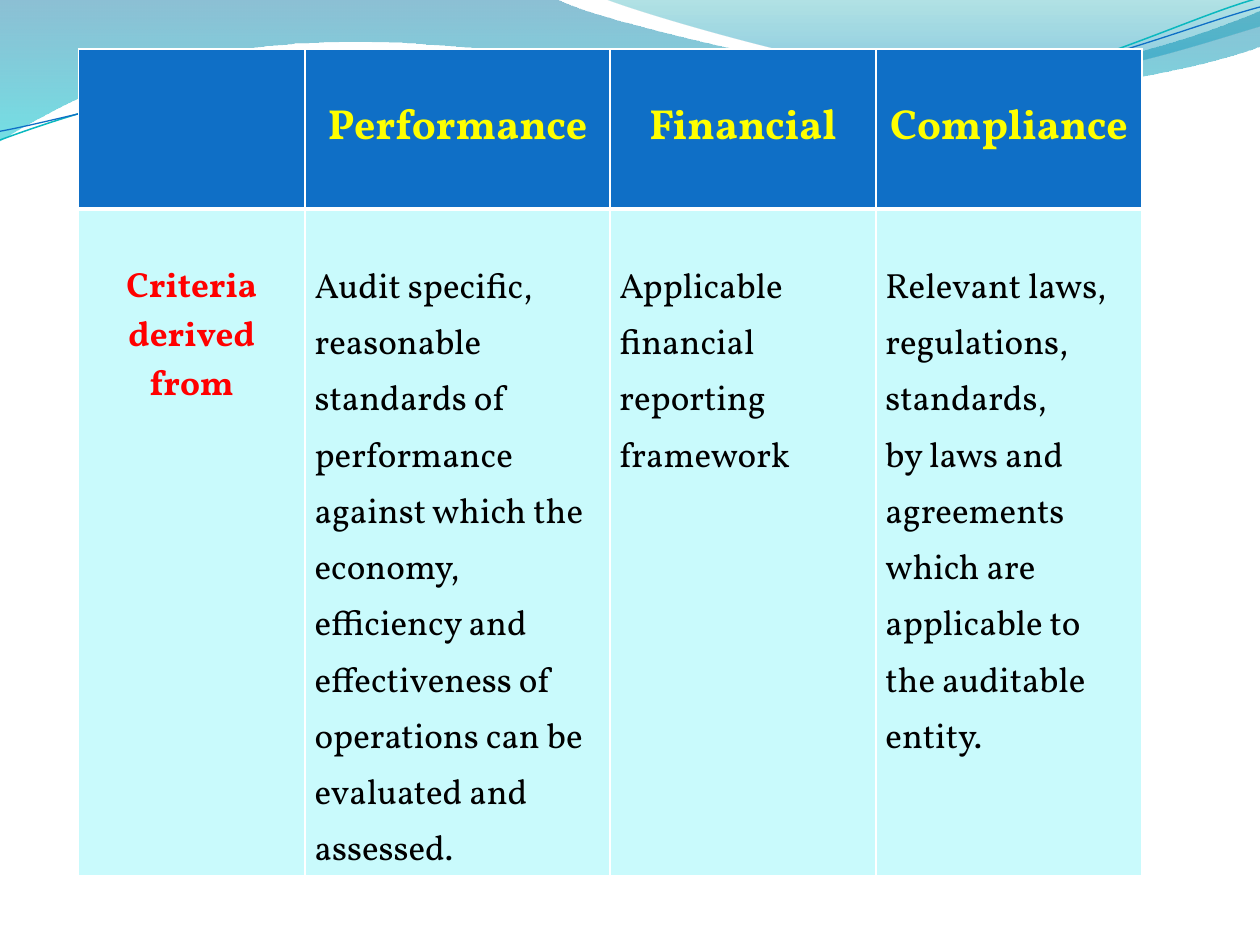
from lxml.etree import SubElement
from pptx import Presentation
from pptx.dml.color import RGBColor
from pptx.enum.text import MSO_ANCHOR as Anchor, PP_ALIGN as Align
from pptx.oxml.ns import qn
from pptx.util import Pt

FONT = "Vollkorn"
HEADINGS = ["", "Performance", "Financial", "Compliance"]
CRITERIA = [
    ["Criteria derived", "from"],
    ["Audit specific, reasonable", "standards of performance", "against which the",
     "economy, efficiency and effectiveness of operations can be evaluated and",
     "assessed."],
    ["Applicable financial", "reporting framework"],
    ["Relevant laws,", "regulations, standards,",
     "by laws and agreements which are applicable to the auditable entity."],
]

# Outlines in points: a start, then steps of one point (line) or three (curve).
BROAD_WAVE = [
    [(0, 0)], [(317, -1)],
    [(343, 12), (478, 45), (546, 45)], [(614, 45), (690, 19), (720, 6)],
    [(721, 26)],
    [(708, 32), (626, 55), (537, 54)], [(448, 54), (275, 20), (185, 24)],
    [(93, 26), (33, 60), (-1, 81)],
]
RIGHT_WAVE = [
    [(345, -1)],
    [(367, 8), (491, 45), (554, 47)], [(616, 50), (692, 23), (720, 15)],
    [(720, 0)],
]
TEAL_CURVE = [
    [(0, 80)], [(35, 67), (114, 41), (199, 37)],
    [(284, 34), (427, 64), (513, 58)], [(600, 51), (675, 11), (719, -1)],
]
BLUE_CURVE = [
    [(0, 75)], [(34, 69), (118, 44), (204, 40)],
    [(290, 37), (430, 60), (516, 54)], [(602, 48), (678, 15), (720, 4)],
]


def color(hex_text):
    return RGBColor.from_string(hex_text)


def apply(target, values):
    for name, value in values.items():
        setattr(target, name, value)


def add_outline(page, box, steps, close):
    """Draw the outline relative to the box, turning three-point steps into curves."""
    left, top = box
    points = [(Pt(left + x), Pt(top + y)) for step in steps for x, y in step]
    builder = page.shapes.build_freeform(*points[0], scale=1.0)
    builder.add_line_segments(points[1:], close=close)
    shape = builder.convert_to_shape()
    shape.shadow.inherit = False
    lines = list(shape._element.iter(qn("a:lnTo")))
    for step in steps[1:]:
        group, lines = lines[:len(step)], lines[len(step):]
        if len(step) == 3:
            group[0].tag = qn("a:cubicBezTo")
            for line in group[1:]:
                group[0].append(line[0])
                line.getparent().remove(line)
    return shape


def add_wave(page, box, steps, stops):
    """Fill a wave downwards with (position, colour, opacity percent) stops."""
    shape = add_outline(page, box, steps, True)
    shape.line.fill.background()
    shape.fill.gradient()
    shape.fill.gradient_angle = 270
    for stop, (position, hex_text, _) in zip(shape.fill.gradient_stops, stops):
        stop.position = position
        stop.color.rgb = color(hex_text)
    for tone, (_, _, opacity) in zip(shape._element.spPr.iter(qn("a:srgbClr")), stops):
        SubElement(tone, qn("a:alpha"), val=str(opacity * 1000))


def add_curve(page, box, steps, hex_text, width):
    shape = add_outline(page, box, steps, False)
    shape.fill.background()
    shape.line.color.rgb = color(hex_text)
    shape.line.width = Pt(width)


def add_waves(page, box):
    add_wave(page, box, BROAD_WAVE, [(0, "0074A1", 45), (1, "00C6CF", 55)])
    add_wave(page, box, RIGHT_WAVE, [(0, "00A1A9", 30), (0.8, "008BBF", 45)])
    add_curve(page, box, TEAL_CURVE, "0AB8BF", 0.85)
    add_curve(page, box, BLUE_CURVE, "0F6FC6", 0.75)


def add_borders(cell, widths):
    for side, width in widths.items():
        border = SubElement(cell._tc.get_or_add_tcPr(), qn(f"a:ln{side}"),
                            w=str(Pt(width)))
        fill = SubElement(border, qn("a:solidFill"))
        SubElement(fill, qn("a:srgbClr"), val="FFFFFF")


def fill_cell(cell, lines, fill, borders, margins, font, para_format):
    add_borders(cell, borders)
    cell.fill.solid()
    cell.fill.fore_color.rgb = color(fill)
    apply(cell, margins)
    tone, *rest = font
    for index, text in enumerate(lines):
        frame = cell.text_frame
        para = frame.add_paragraph() if index else frame.paragraphs[0]
        apply(para, para_format)
        span = para.add_run()
        span.text = text
        apply(span.font, dict(zip(("size", "bold"), rest), name=FONT))
        span.font.color.rgb = color(tone)


def add_criteria_table(page, box):
    left, top, width, height = box
    table = page.shapes.add_table(2, 4, Pt(left), Pt(top), Pt(width), Pt(height)).table
    for column, size in zip(table.columns, (129.6, 174.2, 152, 152)):
        column.width = Pt(size)
    header_height = 91.4
    table.rows[0].height = Pt(header_height)
    table.rows[1].height = Pt(height - header_height)
    head_borders = {"L": 1, "R": 1, "T": 1, "B": 3}
    body_borders = {"L": 1, "R": 1, "T": 3, "B": 1}
    side = Pt(5.4)
    body_margins = {"margin_left": side, "margin_right": side,
                    "margin_top": Pt(28), "margin_bottom": 0}
    centred = {"alignment": Align.CENTER}
    for index, (heading, lines) in enumerate(zip(HEADINGS, CRITERIA)):
        fill_cell(table.cell(0, index), [heading] if heading else [], "0F6FC6",
                  head_borders, {"vertical_anchor": Anchor.MIDDLE},
                  ("FFFF00", Pt(24), True), centred)
        if index:
            style = body_margins, ("000000", Pt(20), False), {"line_spacing": 1.15}
        else:
            style = {"margin_top": Pt(31.6)}, ("FF0000", Pt(20), True), centred
        fill_cell(table.cell(1, index), lines, "C9FAFC", body_borders, *style)


def main():
    deck = Presentation()
    deck.slide_width, deck.slide_height = Pt(720), Pt(540)
    page = deck.slides.add_slide(deck.slide_layouts[6])
    add_waves(page, (0, 0))
    add_criteria_table(page, (44.8, 28, 607.8, 472))
    deck.save("out.pptx")


if __name__ == "__main__":
    main()
